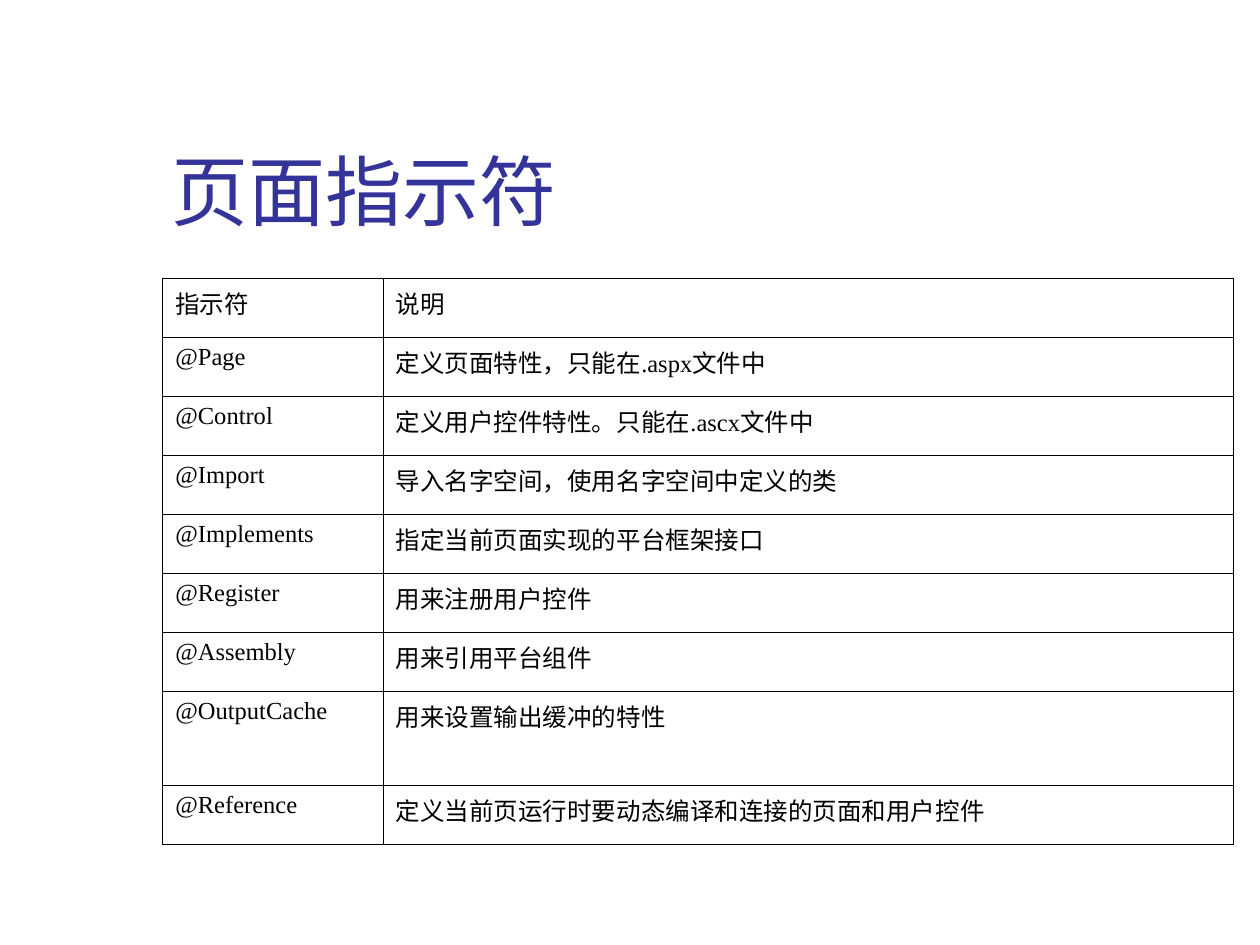
import pptx
import pptx.dml.color
import pptx.enum.text
import pptx.oxml
import pptx.oxml.ns
import pptx.util
from pptx.util import Cm

COLORS = {"title": "333399", "text": "000000", "border": "000000"}

DIRECTIVES = [
    ("指示符", "说明"),
    ("@Page", "定义页面特性，只能在.aspx文件中"),
    ("@Control", "定义用户控件特性。只能在.ascx文件中"),
    ("@Import", "导入名字空间，使用名字空间中定义的类"),
    ("@Implements", "指定当前页面实现的平台框架接口"),
    ("@Register", "用来注册用户控件"),
    ("@Assembly", "用来引用平台组件"),
    ("@OutputCache", "用来设置输出缓冲的特性"),
    ("@Reference", "定义当前页运行时要动态编译和连接的页面和用户控件"),
]
ROW_HEIGHT = 1.19
TALL_ROWS = {"@OutputCache": 1.9}
COLUMN_WIDTHS = (4.44, 17.15)


def write_text(frame, text, *, size, font, color, anchor):
    frame.word_wrap = True
    frame.auto_size = pptx.enum.text.MSO_AUTO_SIZE.NONE
    frame.vertical_anchor = anchor
    paragraph = frame.paragraphs[0]
    paragraph.alignment = pptx.enum.text.PP_ALIGN.LEFT
    run = paragraph.add_run()
    run.text = text
    run.font.size = pptx.util.Pt(size)
    run.font.name = font
    run.font.bold = False
    run.font.color.rgb = pptx.dml.color.RGBColor.from_string(COLORS[color])


class DirectiveSlide:
    title_style = dict(size=44, font="Roboto", color="title",
                       anchor=pptx.enum.text.MSO_ANCHOR.BOTTOM)
    cell_style = dict(size=14, font="Times New Roman", color="text",
                      anchor=pptx.enum.text.MSO_ANCHOR.TOP)
    border_width = pptx.util.Pt(0.45)

    def __init__(self, deck):
        self.slide = deck.slides.add_slide(deck.slide_layouts[5])

    def title(self, text, left, top, width, height):
        heading = self.slide.shapes.title
        heading.left, heading.top = Cm(left), Cm(top)
        heading.width, heading.height = Cm(width), Cm(height)
        write_text(heading.text_frame, text, **self.title_style)

    def borders(self, cell):
        properties = cell._tc.get_or_add_tcPr()
        for position, side in enumerate(("lnL", "lnR", "lnT", "lnB")):
            line = pptx.oxml.parse_xml(
                f'<a:{side} {pptx.oxml.ns.nsdecls("a")} w="{self.border_width}">'
                f'<a:solidFill><a:srgbClr val="{COLORS["border"]}"/></a:solidFill>'
                f'</a:{side}>')
            properties.insert(position, line)

    def table(self, rows, left, top, widths, heights):
        grid = self.slide.shapes.add_table(
            len(rows), len(widths), Cm(left), Cm(top),
            Cm(sum(widths)), Cm(sum(heights))).table
        grid.first_row = grid.horz_banding = False
        for column, width in zip(grid.columns, widths):
            column.width = Cm(width)
        for row, height, entries in zip(grid.rows, heights, rows):
            row.height = Cm(height)
            for cell, entry in zip(row.cells, entries):
                cell.fill.background()
                self.borders(cell)
                write_text(cell.text_frame, entry, **self.cell_style)
                indent = cell.text_frame.paragraphs[0]._p.get_or_add_pPr()
                indent.set("marL", str(Cm(0.95)))
                indent.set("indent", str(-Cm(0.95)))


def main():
    deck = pptx.Presentation()
    deck.slide_width, deck.slide_height = Cm(25.4), Cm(19.05)
    page = DirectiveSlide(deck)
    page.title("页面指示符", 3.2, 1.7, 21.64, 3.18)
    heights = [TALL_ROWS.get(name, ROW_HEIGHT) for name, _ in DIRECTIVES]
    page.table(DIRECTIVES, 3.28, 5.61, COLUMN_WIDTHS, heights)
    deck.save("out.pptx")


if __name__ == "__main__":
    main()
